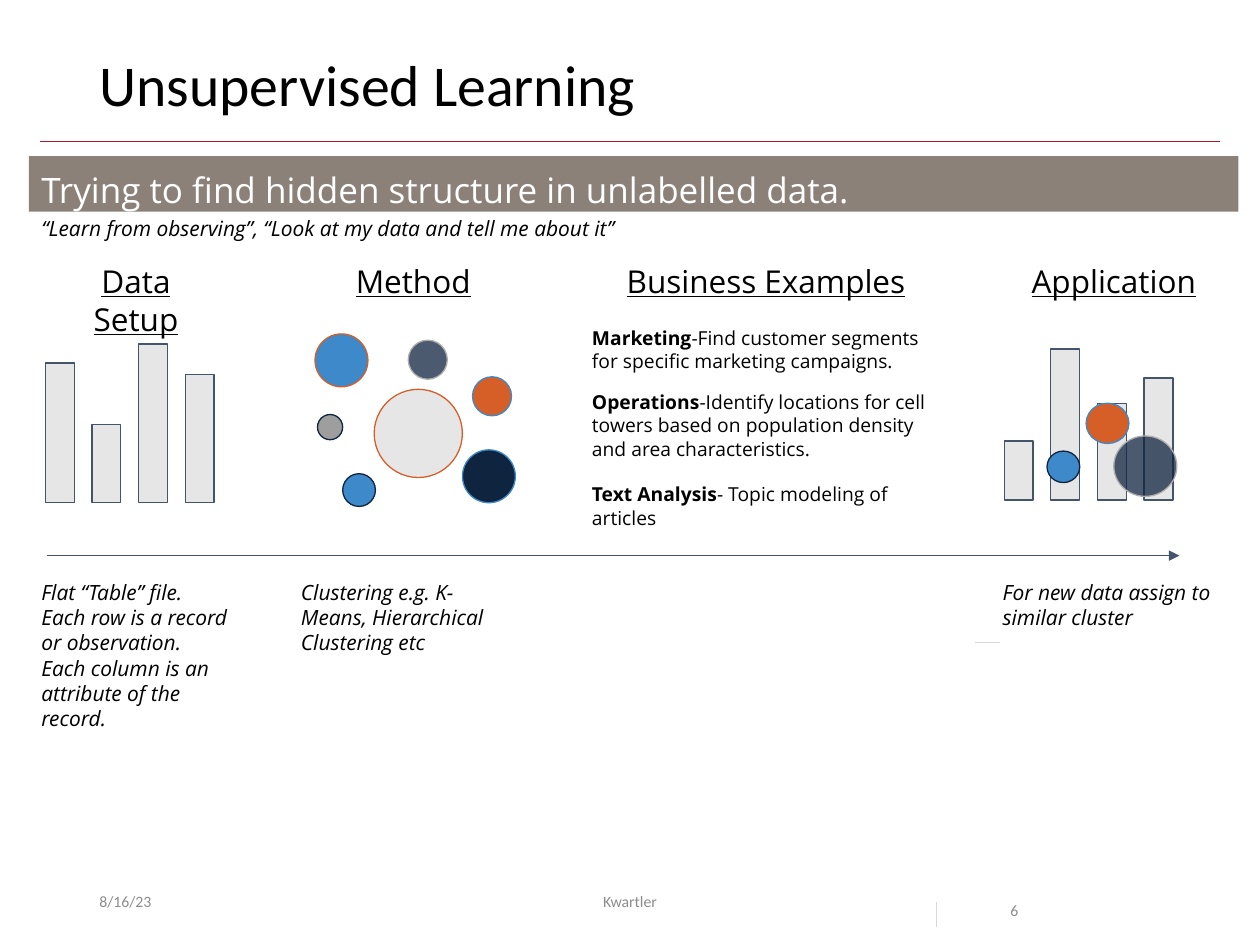
from dataclasses import dataclass
from typing import Optional

from lxml.etree import SubElement
from pptx import Presentation
from pptx.dml.color import RGBColor
from pptx.enum.shapes import MSO_CONNECTOR, MSO_SHAPE
from pptx.enum.text import MSO_ANCHOR, PP_ALIGN
from pptx.oxml.ns import qn
from pptx.util import Pt

EMU_PER_PX = 9144  # 100 px to the inch


@dataclass(frozen=True)
class Theme:
    heading_font: str = "Calibri"
    body_font: str = "Open Sans"
    black: str = "000000"
    white: str = "FFFFFF"
    footer: str = "8C8C8C"
    banner: str = "8C8179"
    rule: str = "A51C30"
    tick: str = "D9D9D9"
    slate: str = "44546A"
    pale: str = "E7E6E6"
    orange: str = "D55F27"
    blue: str = "3D89C9"
    navy: str = "0F243E"
    gray: str = "9E9E9E"
    silver: str = "AEAEAE"
    title_size: int = 33
    banner_size: int = 20
    column_size: int = 18
    note_size: int = 12
    example_size: int = 11
    footer_size: int = 9
    outline: float = 0.75
    hairline: float = 0.5


THEME = Theme()


@dataclass(frozen=True)
class Box:
    left: int
    top: int
    width: int
    height: int


@dataclass(frozen=True)
class Style:
    size: int
    font: str = THEME.body_font
    color: str = THEME.black
    italic: bool = False
    underline: bool = False
    align: PP_ALIGN = PP_ALIGN.LEFT
    anchor: MSO_ANCHOR = MSO_ANCHOR.TOP
    spacing: float = 1.0
    inset: int = 10


@dataclass(frozen=True)
class Label:
    box: Box
    text: str
    style: Style
    lead: str = ""


@dataclass(frozen=True)
class Circle:
    box: Box
    fill: str
    line: str
    opacity: int = 100


@dataclass(frozen=True)
class BarSet:
    left: int
    baseline: int
    heights: tuple[int, ...]


@dataclass(frozen=True)
class Line:
    start: tuple[int, int]
    end: tuple[int, int]
    color: str
    width: float
    arrow: bool = False


TITLE = Style(THEME.title_size, THEME.heading_font, spacing=0.9, inset=5)
FOOTER = Style(THEME.footer_size, THEME.heading_font, THEME.footer, anchor=MSO_ANCHOR.MIDDLE, inset=5)
FOOTER_CENTER = Style(THEME.footer_size, THEME.heading_font, THEME.footer,
                      align=PP_ALIGN.CENTER, anchor=MSO_ANCHOR.MIDDLE, inset=5)
PAGE_NUMBER = Style(THEME.footer_size, THEME.heading_font, THEME.footer, spacing=2.0, inset=5)
BANNER = Style(THEME.banner_size, color=THEME.white)
COLUMN = Style(THEME.column_size, underline=True, align=PP_ALIGN.CENTER)
NOTE = Style(THEME.note_size, italic=True)
EXAMPLE = Style(THEME.example_size)
EXAMPLE_MIDDLE = Style(THEME.example_size, anchor=MSO_ANCHOR.MIDDLE)

BAR_WIDTH, BAR_PITCH = 23, 37
COLUMN_TOP, COLUMN_HEIGHT = 198, 47
NOTE_TOP, NOTE_HEIGHT = 450, 103

BANNER_LABEL = Label(Box(23, 124, 960, 44), "Trying to find hidden structure in unlabelled data.", BANNER)
LABELS = [
    Label(Box(69, 40, 862, 65), "Unsupervised Learning", TITLE),
    Label(Box(69, 695, 225, 40), "8/16/23", FOOTER),
    Label(Box(331, 695, 338, 40), "Kwartler", FOOTER_CENTER),
    Label(Box(792, 695, 94, 40), "6", PAGE_NUMBER),
    Label(Box(23, 161, 960, 27), "“Learn from observing”, “Look at my data and tell me about it”", NOTE),
    Label(Box(460, 249, 287, 57), "-Find customer segments for specific marketing campaigns.", EXAMPLE, "Marketing"),
    Label(Box(460, 299, 287, 77),
          "-Identify locations for cell towers based on population density and area characteristics.",
          EXAMPLE_MIDDLE, "Operations"),
    Label(Box(460, 363, 287, 77), "- Topic modeling of articles", EXAMPLE_MIDDLE, "Text Analysis"),
]
COLUMNS = [(43, 130, "Data Setup"), (266, 124, "Method"),
           (460, 296, "Business Examples"), (803, 162, "Application")]
NOTES = [
    (23, 171, "Flat “Table” file.\nEach row is a record or observation.\n"
              "Each column is an attribute of the record."),
    (229, 171, "Clustering e.g. K-Means, Hierarchical Clustering etc"),
    (786, 200, "For new data assign to similar cluster"),
]
BAR_SETS = [BarSet(797, 397, (47, 120, 77, 97)), BarSet(36, 399, (111, 62, 126, 102))]
METHOD_CIRCLES = [
    Circle(Box(297, 309, 70, 70), THEME.pale, THEME.orange),
    Circle(Box(250, 265, 42, 42), THEME.blue, THEME.orange),
    Circle(Box(324, 270, 31, 31), THEME.navy, THEME.silver, 75),
    Circle(Box(375, 299, 31, 31), THEME.orange, THEME.blue),
    Circle(Box(252, 329, 20, 20), THEME.gray, THEME.navy),
    Circle(Box(367, 357, 42, 42), THEME.navy, THEME.blue),
    Circle(Box(272, 376, 26, 26), THEME.blue, THEME.navy),
]
APPLICATION_CIRCLES = [
    Circle(Box(862, 320, 34, 32), THEME.orange, THEME.blue),
    Circle(Box(884, 346, 50, 48), THEME.navy, THEME.silver, 75),
    Circle(Box(831, 358, 26, 25), THEME.blue, THEME.navy),
]
LINES = [
    Line((32, 112), (968, 112), THEME.rule, THEME.hairline),
    Line((37, 441), (936, 441), THEME.slate, THEME.outline, arrow=True),
    Line((743, 716), (743, 736), THEME.tick, THEME.hairline),
    Line((774, 510), (794, 510), THEME.tick, THEME.hairline),
]


def px(length: int) -> int:
    return length * EMU_PER_PX


def place(box: Box) -> tuple[int, int, int, int]:
    return px(box.left), px(box.top), px(box.width), px(box.height)


def add_figure(shapes, kind: MSO_SHAPE, box: Box, fill: str, line: Optional[str] = None, opacity: int = 100):
    shape = shapes.add_shape(kind, *place(box))
    shape.shadow.inherit = False
    shape.fill.solid()
    shape.fill.fore_color.rgb = RGBColor.from_string(fill)
    if opacity < 100:
        color = shape._element.spPr.find(qn("a:solidFill"))[0]
        SubElement(color, qn("a:alpha")).set("val", str(opacity * 1000))
    if line:
        shape.line.color.rgb = RGBColor.from_string(line)
        shape.line.width = Pt(THEME.outline)
    else:
        shape.line.fill.background()
    return shape


def write_text(shape, label: Label) -> None:
    style, text_frame = label.style, shape.text_frame
    text_frame.word_wrap = True
    text_frame.vertical_anchor = style.anchor
    text_frame.margin_left = text_frame.margin_right = px(10)
    text_frame.margin_top = text_frame.margin_bottom = px(style.inset)
    text_frame.text = label.lead or label.text
    if label.lead:
        text_frame.paragraphs[0].runs[0].font.bold = True
        text_frame.paragraphs[0].add_run().text = label.text
    for paragraph in text_frame.paragraphs:
        paragraph.alignment = style.align
        paragraph.line_spacing = style.spacing
        for run in paragraph.runs:
            run.font.name = style.font
            run.font.size = Pt(style.size)
            run.font.color.rgb = RGBColor.from_string(style.color)
            run.font.italic = style.italic
            run.font.underline = style.underline


def add_label(shapes, label: Label) -> None:
    write_text(shapes.add_textbox(*place(label.box)), label)


def add_bars(shapes, bars: BarSet) -> None:
    group = shapes.add_group_shape()
    for index, height in enumerate(bars.heights):
        box = Box(bars.left + index * BAR_PITCH, bars.baseline - height, BAR_WIDTH, height)
        add_figure(group.shapes, MSO_SHAPE.RECTANGLE, box, THEME.pale, THEME.slate)


def add_circles(shapes, circles: list[Circle]) -> None:
    for circle in circles:
        add_figure(shapes, MSO_SHAPE.OVAL, circle.box, circle.fill, circle.line, circle.opacity)


def add_line(shapes, line: Line) -> None:
    connector = shapes.add_connector(MSO_CONNECTOR.STRAIGHT, *map(px, line.start + line.end))
    connector.line.color.rgb = RGBColor.from_string(line.color)
    connector.line.width = Pt(line.width)
    if line.arrow:
        SubElement(connector.line._get_or_add_ln(), qn("a:tailEnd")).set("type", "triangle")
    SubElement(connector._element.spPr, qn("a:effectLst"))


def main() -> None:
    presentation = Presentation()
    presentation.slide_width, presentation.slide_height = px(1000), px(750)
    shapes = presentation.slides.add_slide(presentation.slide_layouts[6]).shapes

    # Banner and free-standing text
    write_text(add_figure(shapes, MSO_SHAPE.RECTANGLE, BANNER_LABEL.box, THEME.banner), BANNER_LABEL)
    for label in LABELS:
        add_label(shapes, label)

    # Column headings and the notes under the arrow
    for left, width, text in COLUMNS:
        add_label(shapes, Label(Box(left, COLUMN_TOP, width, COLUMN_HEIGHT), text, COLUMN))
    for left, width, text in NOTES:
        add_label(shapes, Label(Box(left, NOTE_TOP, width, NOTE_HEIGHT), text, NOTE))

    # Bars, clusters and lines
    for bars in BAR_SETS:
        add_bars(shapes, bars)
    add_circles(shapes.add_group_shape().shapes, METHOD_CIRCLES)
    add_circles(shapes, APPLICATION_CIRCLES)
    for line in LINES:
        add_line(shapes, line)

    presentation.save("out.pptx")


if __name__ == "__main__":
    main()
